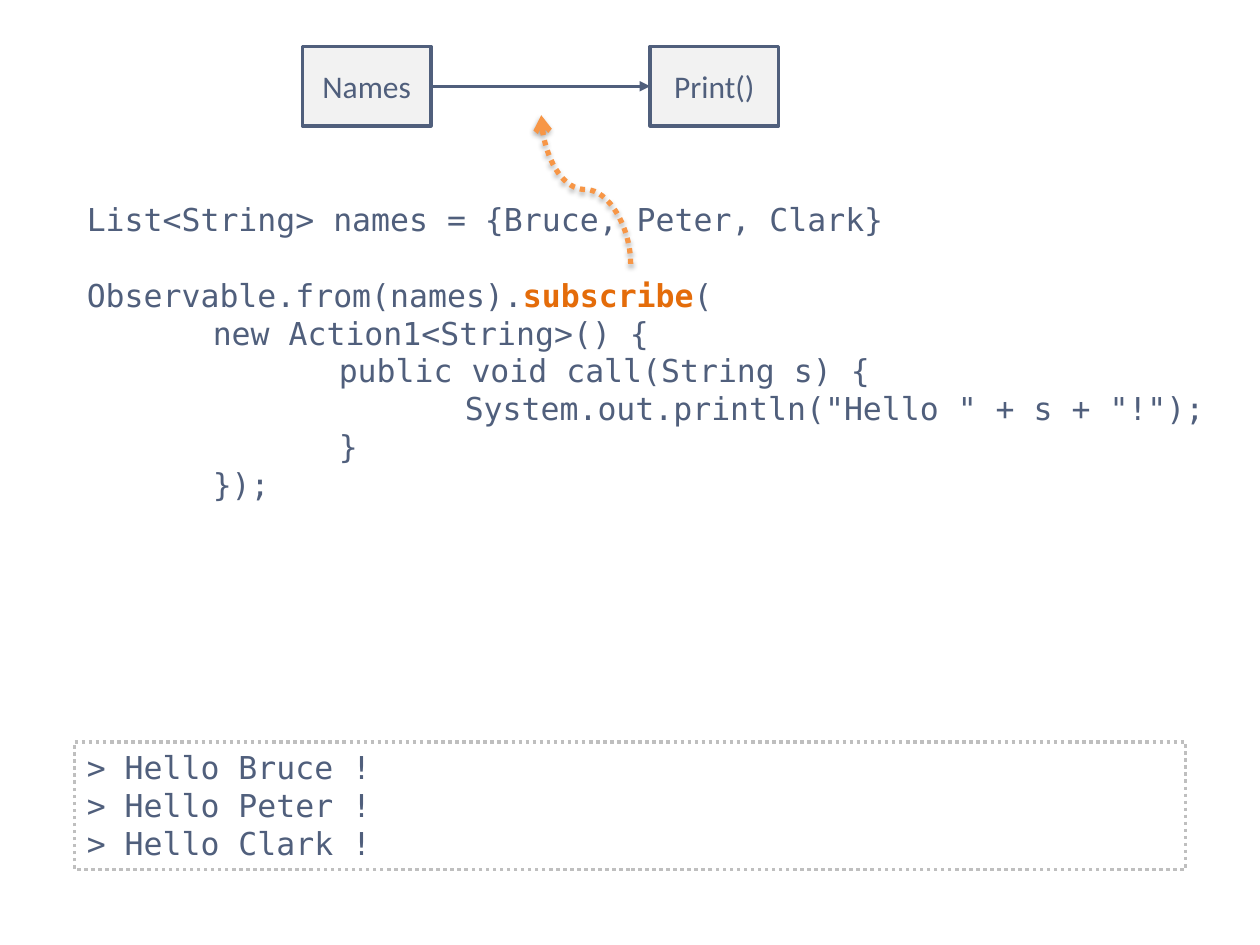
"""Builds a slide on subscribing to an observable list of names."""
from lxml.etree import SubElement
from pptx import Presentation
from pptx.dml.color import RGBColor
from pptx.enum.dml import MSO_LINE
from pptx.enum.shapes import MSO_CONNECTOR, MSO_SHAPE
from pptx.enum.text import MSO_ANCHOR, MSO_AUTO_SIZE, PP_ALIGN
from pptx.oxml.ns import qn
from pptx.util import Inches, Pt

INK, ORANGE, ACCENT = "505F7C", "F79646", "E46C0A"
MONO = "DejaVu Sans Mono"
DOTS = MSO_LINE.ROUND_DOT

CODE = [
    ["List<String> names = {Bruce, Peter, Clark}"],
    ["Observable.from(names).", "subscribe", "("],
    ["\tnew Action1<String>() {"],
    ["\t\tpublic void call(String s) {"],
    ['\t\t\tSystem.out.println("Hello " + s + "!");'],
    ["\t\t}"],
    ["\t});"],
]
KEYWORD = "subscribe"
TAB_STOPS = (1, 2, 3)
OUTPUT = [[f"> Hello {name} !"] for name in ("Bruce", "Peter", "Clark")]
CODE_BOX = (0.59, 1.54, 9.18, 2.52)
OUTPUT_BOX = (0.59, 5.89, 8.82, 1.01)
NODES = [("Names", 2.4), ("Print()", 5.16)]
NODE_TOP, NODE_W, NODE_H = 0.37, 1.02, 0.63
POINTER = (4.06, 1.86, 5.24, 1.15)
SHADOW = {"blurRad": "40000", "dist": "23000", "dir": "5400000", "rotWithShape": "0"}


def rgb(value):
    """Turn a hex string into a colour."""
    return RGBColor.from_string(value)


def set_line(line, color, width, dash=None):
    """Format an outline."""
    line.color.rgb = rgb(color)
    line.width = Pt(width)
    if dash:
        line.dash_style = dash


def add_tabs(p):
    """Give a paragraph the tab stops of the code."""
    tabs = SubElement(p._p.get_or_add_pPr(), qn("a:tabLst"))
    for stop in TAB_STOPS:
        SubElement(tabs, qn("a:tab"), pos=str(Inches(stop)), algn="l")


def write(s, lines, font, align=PP_ALIGN.LEFT, **frame):
    """Fill a shape with lines, each a list of runs."""
    tf = s.text_frame
    for name, value in frame.items():
        setattr(tf, name, value)
    for i, parts in enumerate(lines):
        p = tf.paragraphs[0] if i == 0 else tf.add_paragraph()
        p.alignment = align
        if parts[0].startswith("\t"):
            add_tabs(p)
        for part in parts:
            r = p.add_run()
            r.text = part
            key = part == KEYWORD
            for name, value in {"name": font, "size": Pt(18), "bold": key}.items():
                setattr(r.font, name, value)
            r.font.color.rgb = rgb(ACCENT if key else INK)


def add_rect(slide, box, fill, *line):
    """Add a plain rectangle."""
    s = slide.shapes.add_shape(MSO_SHAPE.RECTANGLE, *map(Inches, box))
    s.shadow.inherit = False
    s.fill.solid()
    s.fill.fore_color.rgb = rgb(fill)
    set_line(s.line, *line)
    return s


def add_arrow(slide, kind, ends, head, *line):
    """Add a connector with an arrowhead and return it with its effect list."""
    s = slide.shapes.add_connector(kind, *map(Inches, ends))
    set_line(s.line, *line)
    SubElement(s.line._get_or_add_ln(), qn("a:tailEnd"), type=head)
    return s, SubElement(s._element.spPr, qn("a:effectLst"))


def main():
    """Build and save the slide."""
    prs = Presentation()
    prs.slide_width, prs.slide_height = Inches(10), Inches(7.5)
    slide = prs.slides.add_slide(prs.slide_layouts[6])

    code = slide.shapes.add_textbox(*map(Inches, CODE_BOX))
    write(code, CODE, MONO, word_wrap=False, auto_size=MSO_AUTO_SIZE.SHAPE_TO_FIT_TEXT)
    code.text_frame.paragraphs[1].space_before = Pt(21.6)

    output = add_rect(slide, OUTPUT_BOX, "FFFFFF", "BFBFBF", 2, DOTS)
    write(output, OUTPUT, MONO, word_wrap=True, vertical_anchor=MSO_ANCHOR.TOP,
          auto_size=MSO_AUTO_SIZE.SHAPE_TO_FIT_TEXT)

    nodes = []
    for label, left in NODES:
        node = add_rect(slide, (left, NODE_TOP, NODE_W, NODE_H), "F2F2F2", INK, 2)
        write(node, [[label]], "Calibri", PP_ALIGN.CENTER, vertical_anchor=MSO_ANCHOR.MIDDLE)
        nodes.append(node)

    pointer, effects = add_arrow(slide, MSO_CONNECTOR.CURVE, POINTER, "arrow", ORANGE, 3, DOTS)
    pointer._element.spPr.find(qn("a:xfrm")).set("rot", str(270 * 60000))
    shadow = SubElement(effects, qn("a:outerShdw"), SHADOW)
    SubElement(SubElement(shadow, qn("a:srgbClr"), val="000000"), qn("a:alpha"), val="35000")

    flow, _ = add_arrow(slide, MSO_CONNECTOR.STRAIGHT, (3.42, 0.68, 5.16, 0.68), "triangle", INK, 2)
    flow.begin_connect(nodes[0], 3)
    flow.end_connect(nodes[1], 1)

    prs.save("out.pptx")


if __name__ == "__main__":
    main()
